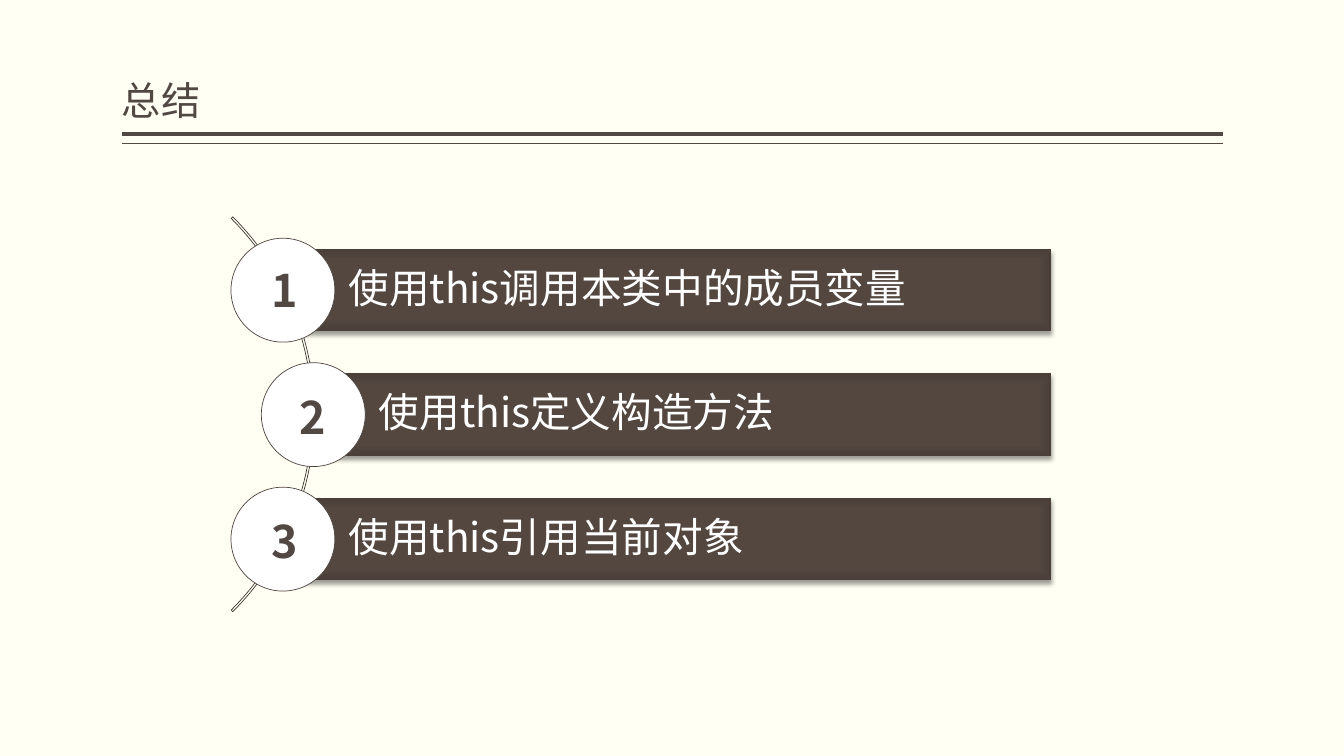
import dataclasses

import pptx
import pptx.dml.color
import pptx.enum.shapes
import pptx.enum.text
import pptx.oxml
import pptx.oxml.ns
import pptx.shapes.autoshape
import pptx.shapes.base
import pptx.slide
import pptx.text.text
import pptx.util

FONT = "Noto Sans CJK SC"
INK = "514843"
WHITE = "FFFFFF"
BAR_RIGHT = 751
BAR_TOP = 177.8
BAR_HEIGHT = 59
BAR_PITCH = 88.9
CIRCLE_SIZE = 74.2
GRADIENT_STOPS = ((0, "544740"), (71, "534740"), (100, "4A3F39"))


@dataclasses.dataclass(frozen=True)
class Box:
    left: float
    top: float
    width: float
    height: float

    def lengths(self) -> list[pptx.util.Length]:
        return [pptx.util.Pt(value) for value in dataclasses.astuple(self)]


@dataclasses.dataclass(frozen=True)
class TextStyle:
    size: float
    color: str
    bold: bool = False


@dataclasses.dataclass(frozen=True)
class Item:
    text: str
    left: float
    number_left: float
    number_top: float


ITEMS = (
    Item("使用this调用本类中的成员变量", 202.1, 186.5, 184.3),
    Item("使用this定义构造方法", 223.8, 206.6, 275),
    Item("使用this引用当前对象", 202.1, 186.5, 363.6),
)


def rgb(color: str) -> pptx.dml.color.RGBColor:
    return pptx.dml.color.RGBColor.from_string(color)


def style_text(paragraph: pptx.text.text._Paragraph, style: TextStyle) -> None:
    for run in paragraph.runs:
        run.font.size = pptx.util.Pt(style.size)
        run.font.bold = style.bold
        run.font.color.rgb = rgb(style.color)
        run.font.name = FONT
        east_asian = pptx.oxml.parse_xml(
            f'<a:ea {pptx.oxml.ns.nsdecls("a")} typeface="{FONT}"/>'
        )
        run.font._element.append(east_asian)


def set_margins(frame: pptx.text.text.TextFrame, left: float, right: float, vertical: float) -> None:
    frame.margin_left = pptx.util.Pt(left)
    frame.margin_right = pptx.util.Pt(right)
    frame.margin_top = frame.margin_bottom = pptx.util.Pt(vertical)


def add_text(slide: pptx.slide.Slide, box: Box, text: str, style: TextStyle) -> pptx.text.text.TextFrame:
    frame = slide.shapes.add_textbox(*box.lengths()).text_frame
    frame.word_wrap = True
    frame.text = text
    style_text(frame.paragraphs[0], style)
    return frame


def add_title(slide: pptx.slide.Slide) -> None:
    frame = add_text(slide, Box(87.1, 5.8, 786.2, 86.4), "总结", TextStyle(28, INK))
    set_margins(frame, 0, 0, 3.6)
    frame.vertical_anchor = pptx.enum.text.MSO_ANCHOR.BOTTOM
    frame.paragraphs[0].line_spacing = 0.9


def add_rule(slide: pptx.slide.Slide, top: float, width: float) -> None:
    rule = slide.shapes.add_connector(
        pptx.enum.shapes.MSO_CONNECTOR.STRAIGHT,
        pptx.util.Pt(873.3), pptx.util.Pt(top), pptx.util.Pt(87.1), pptx.util.Pt(top),
    )
    rule.line.color.rgb = rgb(INK)
    rule.line.width = pptx.util.Pt(width)
    rule._element.spPr.append(
        pptx.oxml.parse_xml(f'<a:effectLst {pptx.oxml.ns.nsdecls("a")}/>')
    )


def add_outlined(
    slide: pptx.slide.Slide, kind: pptx.enum.shapes.MSO_SHAPE, box: Box, line: str
) -> pptx.shapes.autoshape.Shape:
    shape = slide.shapes.add_shape(kind, *box.lengths())
    shape.shadow.inherit = False
    shape.fill.background()
    shape.line.color.rgb = rgb(line)
    shape.line.width = pptx.util.Pt(0.5)
    return shape


def add_arc(slide: pptx.slide.Slide) -> None:
    arc = add_outlined(
        slide, pptx.enum.shapes.MSO_SHAPE.BLOCK_ARC, Box(-174.2, 96.5, 398.9, 398.9), "403935"
    )
    for index, value in enumerate((189, 27, 0.004)):
        arc.adjustments[index] = value


def paint_bar(bar: pptx.shapes.autoshape.Shape) -> None:
    namespace = pptx.oxml.ns.nsdecls("a")
    stops = "".join(
        f'<a:gs pos="{position * 1000}"><a:srgbClr val="{color}"/></a:gs>'
        for position, color in GRADIENT_STOPS
    )
    gradient = pptx.oxml.parse_xml(
        f'<a:gradFill {namespace} rotWithShape="1"><a:gsLst>{stops}</a:gsLst>'
        '<a:path path="rect"><a:fillToRect l="50000" t="50000" r="50000" b="50000"/>'
        "</a:path></a:gradFill>"
    )
    effects = pptx.oxml.parse_xml(
        f'<a:effectLst {namespace}><a:outerShdw blurRad="{pptx.util.Pt(3.1)}" '
        f'dist="{pptx.util.Pt(2)}" dir="5400000" rotWithShape="0">'
        '<a:srgbClr val="000000"><a:alpha val="38000"/></a:srgbClr>'
        "</a:outerShdw></a:effectLst>"
    )
    bar.line.fill.background()
    properties = bar._element.spPr
    properties.find(pptx.oxml.ns.qn("a:prstGeom")).addnext(gradient)
    properties.append(effects)


def add_bar(slide: pptx.slide.Slide, item: Item, top: float) -> None:
    box = Box(item.left, top, BAR_RIGHT - item.left, BAR_HEIGHT)
    bar = slide.shapes.add_shape(pptx.enum.shapes.MSO_SHAPE.RECTANGLE, *box.lengths())
    paint_bar(bar)
    frame = bar.text_frame
    frame.word_wrap = True
    frame.vertical_anchor = pptx.enum.text.MSO_ANCHOR.MIDDLE
    set_margins(frame, 46.8, 5.8, 5.8)
    frame.text = item.text
    paragraph = frame.paragraphs[0]
    paragraph.alignment = pptx.enum.text.PP_ALIGN.LEFT
    paragraph.line_spacing = 0.9
    paragraph.space_after = pptx.util.Pt(10)
    style_text(paragraph, TextStyle(29, WHITE))


def add_circle(slide: pptx.slide.Slide, item: Item, top: float) -> None:
    radius = CIRCLE_SIZE / 2
    box = Box(item.left - radius, top + BAR_HEIGHT / 2 - radius, CIRCLE_SIZE, CIRCLE_SIZE)
    circle = add_outlined(slide, pptx.enum.shapes.MSO_SHAPE.OVAL, box, "504641")
    circle.fill.solid()
    circle.fill.fore_color.rgb = rgb(WHITE)


def add_number(slide: pptx.slide.Slide, item: Item, number: int) -> None:
    box = Box(item.number_left, item.number_top, 61.2, 46.1)
    frame = add_text(slide, box, str(number), TextStyle(32, INK, bold=True))
    frame.auto_size = pptx.enum.text.MSO_AUTO_SIZE.SHAPE_TO_FIT_TEXT


def main() -> None:
    presentation = pptx.Presentation()
    presentation.slide_width = pptx.util.Pt(960)
    presentation.slide_height = pptx.util.Pt(540)
    slide = presentation.slides.add_slide(presentation.slide_layouts[6])
    slide.background.fill.solid()
    slide.background.fill.fore_color.rgb = rgb("FFFFF3")

    add_rule(slide, 95.8, 3)
    add_rule(slide, 102.7, 1)
    add_title(slide)
    add_arc(slide)
    for index, item in enumerate(ITEMS):
        top = BAR_TOP + index * BAR_PITCH
        add_bar(slide, item, top)
        add_circle(slide, item, top)
    for number, item in enumerate(ITEMS, start=1):
        add_number(slide, item, number)

    presentation.save("out.pptx")


if __name__ == "__main__":
    main()
